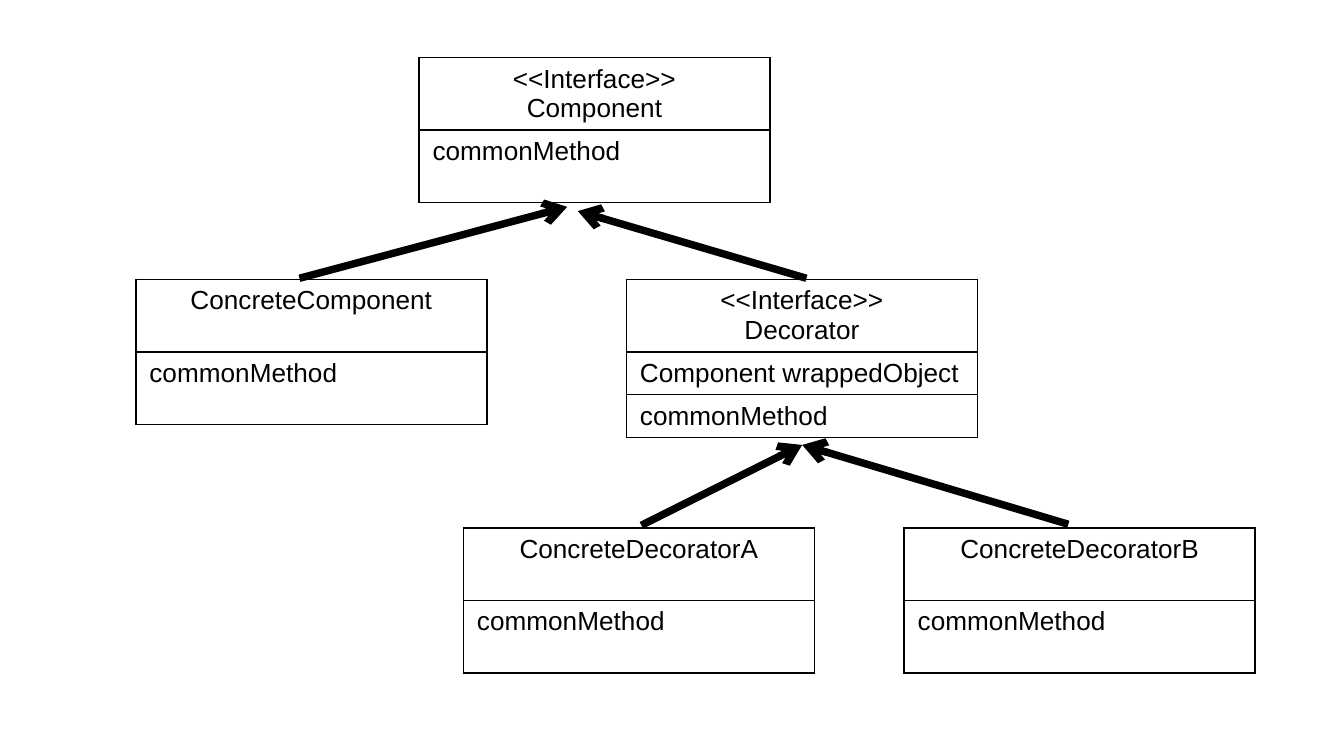
import lxml.etree
import pptx
import pptx.dml.color
import pptx.enum.shapes
import pptx.enum.text
import pptx.oxml.ns
import pptx.util

Cm, Pt = pptx.util.Cm, pptx.util.Pt
qn = pptx.oxml.ns.qn
BLACK = pptx.dml.color.RGBColor(0, 0, 0)
FONT, FONT_SIZE = "Arial", Pt(14)

CLASS_WIDTH, TALL_ROW, SHORT_ROW = 6.63, 1.37, 0.69
METHOD = "commonMethod"

# left, top (cm), height of the rows below the name, name, members
CLASSES = [
    (7.92, 1.09, TALL_ROW, "<<Interface>>\nComponent", [METHOD]),
    (2.57, 5.28, TALL_ROW, "ConcreteComponent", [METHOD]),
    (11.84, 5.28, SHORT_ROW, "<<Interface>>\nDecorator",
     ["Component wrappedObject", METHOD]),
    (8.76, 9.98, TALL_ROW, "ConcreteDecoratorA", [METHOD]),
    (17.09, 9.98, TALL_ROW, "ConcreteDecoratorB", [METHOD]),
]

# from subclass (x, y) to superclass (x, y), in cm
INHERITANCE = [
    ((5.66, 5.26), (10.72, 3.91)),
    ((15.24, 5.26), (10.92, 3.99)),
    ((12.12, 9.93), (15.16, 8.41)),
    ((20.19, 9.91), (15.16, 8.41)),
]


def add_borders(cell):
    properties = cell._tc.get_or_add_tcPr()
    for side in ("a:lnL", "a:lnR", "a:lnT", "a:lnB"):
        border = lxml.etree.SubElement(properties, qn(side), w=str(Pt(1)))
        fill = lxml.etree.SubElement(border, qn("a:solidFill"))
        lxml.etree.SubElement(fill, qn("a:srgbClr"), val=str(BLACK))


def format_cell(cell, text, alignment):
    cell.text_frame.text = text
    for paragraph in cell.text_frame.paragraphs:
        paragraph.alignment = alignment
        for run in paragraph.runs:
            run.font.name = FONT
            run.font.size = FONT_SIZE
            run.font.bold = False
            run.font.color.rgb = BLACK
    add_borders(cell)
    cell.fill.background()


def add_class(slide, left, top, member_height, name, members):
    heights = [TALL_ROW] + [member_height] * len(members)
    table = slide.shapes.add_table(
        len(heights), 1, Cm(left), Cm(top), Cm(CLASS_WIDTH), Cm(sum(heights))
    ).table
    table.first_row = table.horz_banding = False
    align = pptx.enum.text.PP_ALIGN
    for index, (height, text) in enumerate(zip(heights, [name] + members)):
        table.rows[index].height = Cm(height)
        format_cell(table.cell(index, 0), text,
                    align.LEFT if index else align.CENTER)


def add_inheritance(slide, start, end):
    arrow = slide.shapes.add_connector(
        pptx.enum.shapes.MSO_CONNECTOR.STRAIGHT, *map(Cm, start + end))
    arrow.line.color.rgb = BLACK
    arrow.line.width = Pt(4)
    lxml.etree.SubElement(arrow.line._get_or_add_ln(), qn("a:tailEnd"),
                          type="arrow")
    lxml.etree.SubElement(arrow._element.spPr, qn("a:effectLst"))


def main():
    presentation = pptx.Presentation()
    presentation.slide_width, presentation.slide_height = Cm(25.4), Cm(14.29)
    slide = presentation.slides.add_slide(presentation.slide_layouts[6])
    for class_box in CLASSES:
        add_class(slide, *class_box)
    for start, end in INHERITANCE:
        add_inheritance(slide, start, end)
    presentation.save("out.pptx")


if __name__ == "__main__":
    main()
